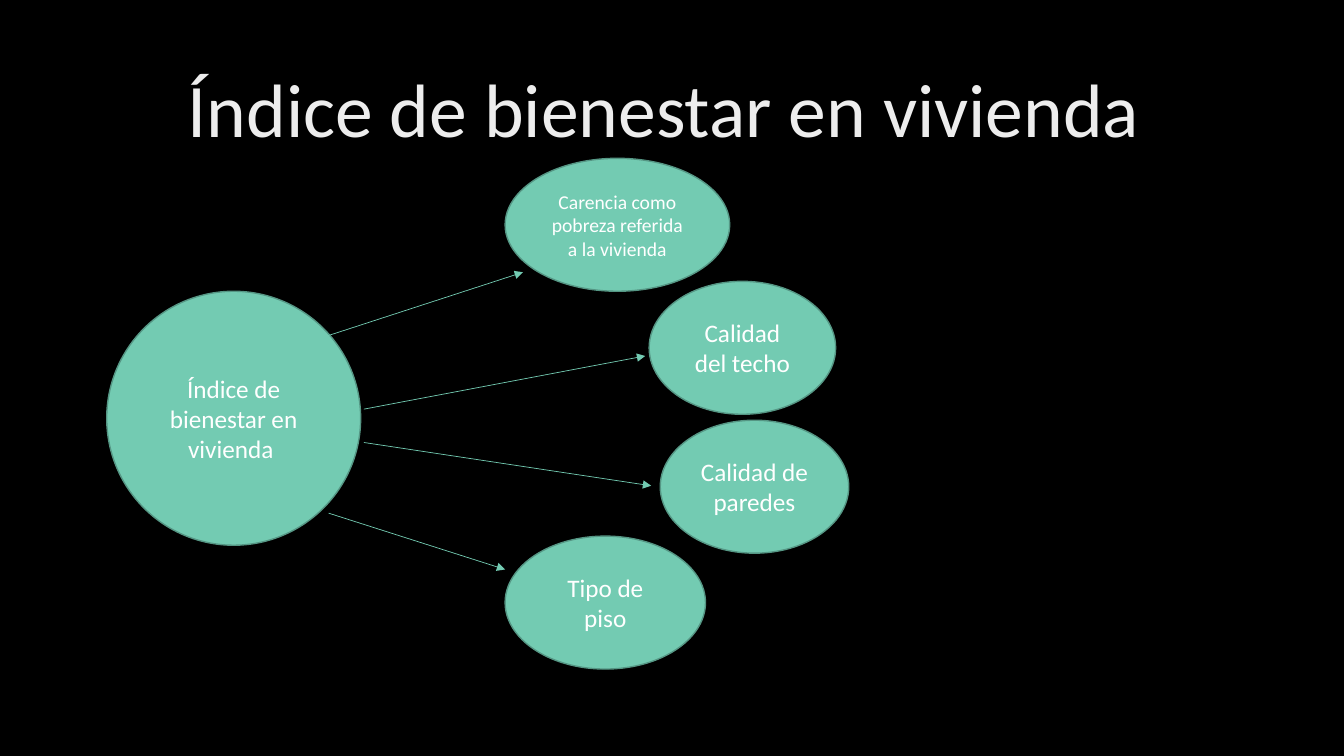
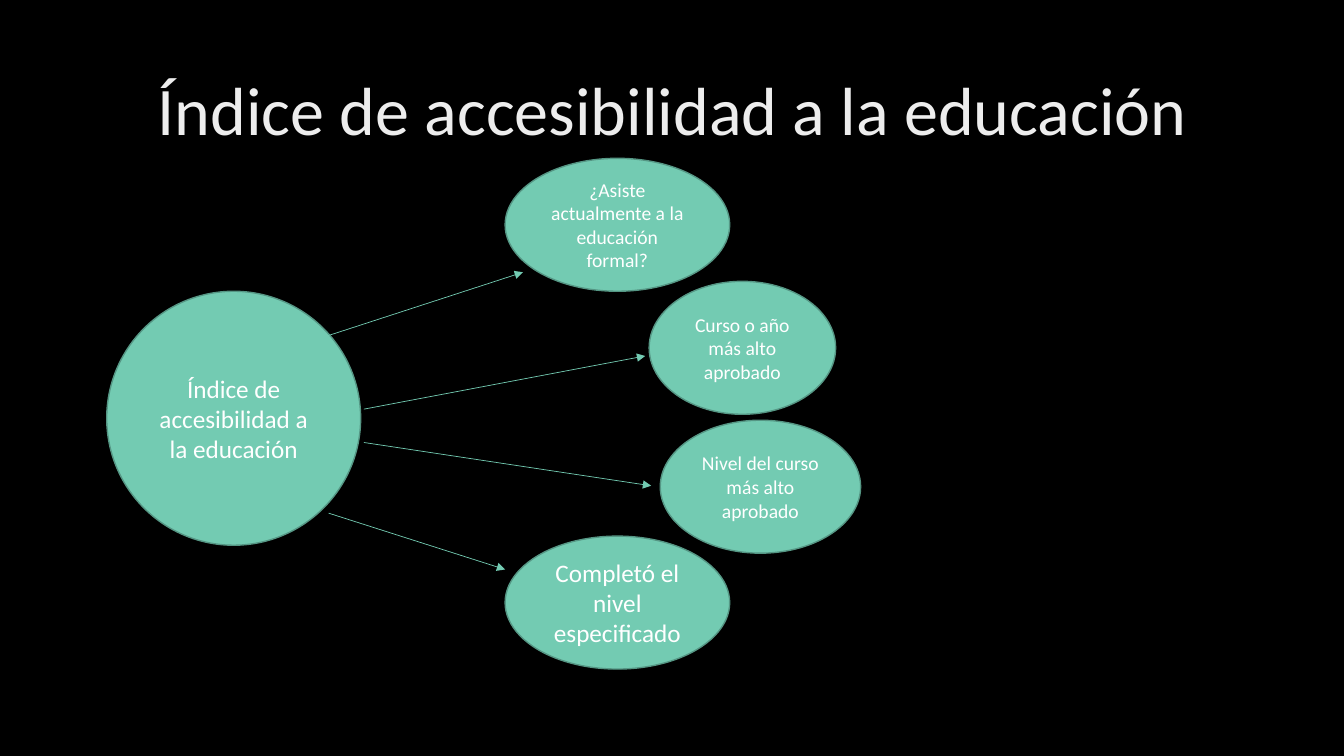
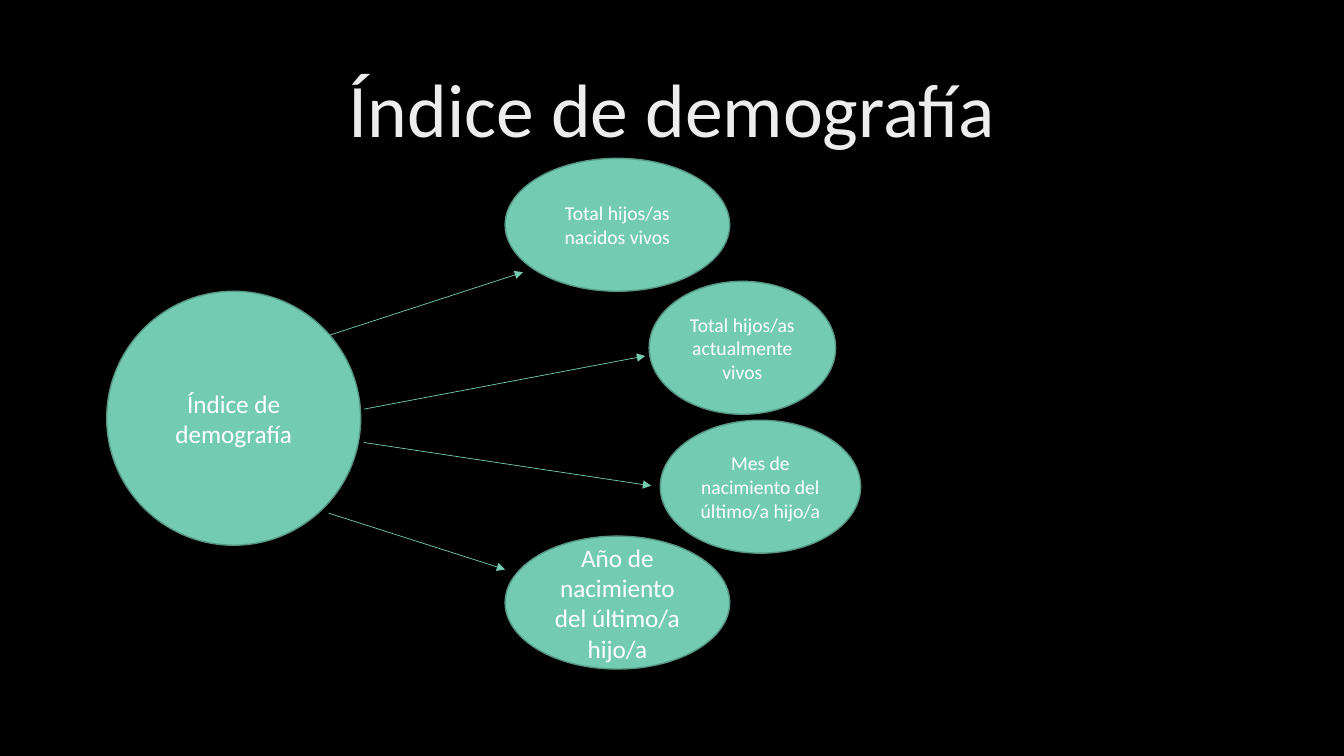
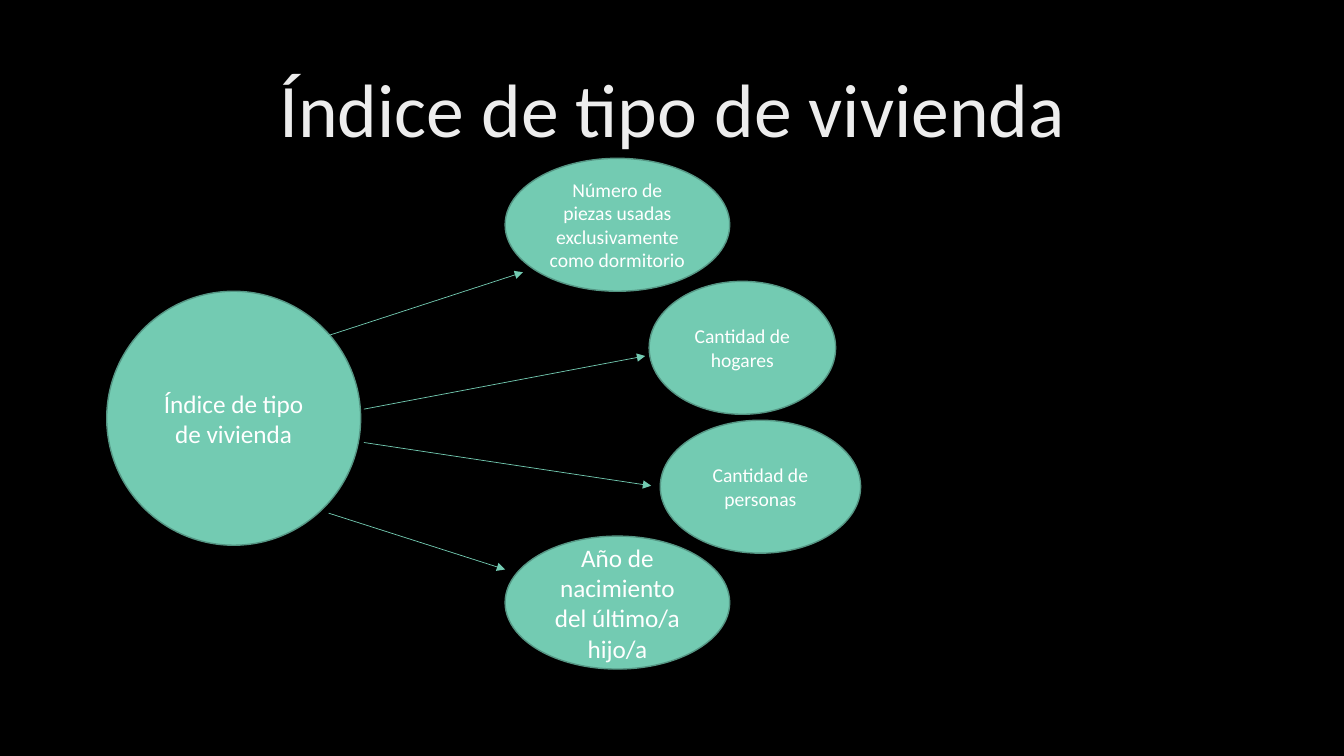
"""Build four index diagrams, each with a hub and four linked components."""
from dataclasses import dataclass

import lxml.etree
import pptx
import pptx.dml.color
import pptx.enum.shapes
import pptx.enum.text
import pptx.oxml.ns
import pptx.presentation
import pptx.shapes.connector
import pptx.slide
import pptx.text.text
import pptx.util

Cm = pptx.util.Cm
FONT = "Calibri"
BLACK = "000000"
WHITE = "FFFFFF"
PALE_GREY = "EDEDED"
MINT = "73CBB2"
DARK_MINT = "559684"
BUBBLE_HEIGHT = 3.35
WIDE = 5.66
MEDIUM = 5.05


@dataclass(frozen=True)
class Bubble:
    text: str
    width: float
    size: int = 14


@dataclass(frozen=True)
class Arrow:
    start: tuple[float, float]
    end: tuple[float, float]


@dataclass(frozen=True)
class Diagram:
    title: str
    components: tuple[Bubble, Bubble, Bubble, Bubble]
    title_size: float = 54


HUB_POSITION = (2.69, 7.34)
HUB_DIAMETER = 6.4
COMPONENT_POSITIONS = ((12.73, 3.99), (16.36, 7.09), (16.64, 10.59), (12.73, 13.51))
ARROWS = (
    Arrow((8.26, 8.46), (13.18, 6.86)),
    Arrow((9.17, 10.31), (16.26, 8.97)),
    Arrow((9.17, 11.15), (16.41, 12.24)),
    Arrow((8.28, 12.93), (12.73, 14.35)),
)
BIRTH_YEAR = Bubble("Año de nacimiento del último/a hijo/a", WIDE, 18)
DIAGRAMS = (
    Diagram(
        "Índice de bienestar en vivienda ",
        (
            Bubble("Carencia como pobreza referida a la vivienda", WIDE),
            Bubble("Calidad del techo", 4.7, 18),
            Bubble("Calidad de paredes", 4.75, 18),
            Bubble("Tipo de piso", MEDIUM, 18),
        ),
    ),
    Diagram(
        "Índice de accesibilidad a la educación",
        (
            Bubble("¿Asiste actualmente a la educación formal?", WIDE),
            Bubble("Curso o año más alto aprobado", 4.7),
            Bubble("Nivel del curso más alto aprobado", MEDIUM),
            Bubble("Completó el nivel especificado", WIDE, 18),
        ),
        48.6,
    ),
    Diagram(
        "Índice de demografía",
        (
            Bubble("Total hijos/as nacidos vivos", WIDE),
            Bubble("Total hijos/as actualmente vivos", 4.7),
            Bubble("Mes de nacimiento del último/a hijo/a", MEDIUM),
            BIRTH_YEAR,
        ),
    ),
    Diagram(
        "Índice de tipo de vivienda",
        (
            Bubble("Número de piezas usadas exclusivamente como dormitorio", WIDE),
            Bubble("Cantidad de hogares", 4.7),
            Bubble("Cantidad de personas", MEDIUM),
            BIRTH_YEAR,
        ),
    ),
)


def color(value: str) -> pptx.dml.color.RGBColor:
    return pptx.dml.color.RGBColor.from_string(value)


def write_text(frame: pptx.text.text.TextFrame, text: str, size: float, ink: str) -> pptx.text.text._Paragraph:
    frame.word_wrap = True
    frame.auto_size = pptx.enum.text.MSO_AUTO_SIZE.NONE
    frame.vertical_anchor = pptx.enum.text.MSO_ANCHOR.MIDDLE
    paragraph = frame.paragraphs[0]
    paragraph.alignment = pptx.enum.text.PP_ALIGN.CENTER
    run = paragraph.add_run()
    run.text = text
    run.font.name = FONT
    run.font.size = pptx.util.Pt(size)
    run.font.color.rgb = color(ink)
    return paragraph


def add_bubble(slide: pptx.slide.Slide, bubble: Bubble, position: tuple[float, float], height: float) -> None:
    left, top = position
    shape = slide.shapes.add_shape(
        pptx.enum.shapes.MSO_SHAPE.OVAL, Cm(left), Cm(top), Cm(bubble.width), Cm(height)
    )
    shape.shadow.inherit = False
    shape.fill.solid()
    shape.fill.fore_color.rgb = color(MINT)
    shape.line.color.rgb = color(DARK_MINT)
    shape.line.width = pptx.util.Pt(1)
    write_text(shape.text_frame, bubble.text, bubble.size, WHITE)


def add_arrow(slide: pptx.slide.Slide, arrow: Arrow) -> None:
    connector = slide.shapes.add_connector(
        pptx.enum.shapes.MSO_CONNECTOR.STRAIGHT, *(Cm(value) for value in arrow.start + arrow.end)
    )
    connector.line.color.rgb = color(MINT)
    connector.line.width = pptx.util.Pt(0.5)
    qualified = pptx.oxml.ns.qn
    properties = connector.element.spPr
    outline = properties.find(qualified("a:ln"))
    lxml.etree.SubElement(outline, qualified("a:tailEnd"), type="triangle")
    lxml.etree.SubElement(properties, qualified("a:effectLst"))


def prepare_layout(presentation: pptx.presentation.Presentation) -> pptx.slide.SlideLayout:
    background = presentation.slide_master.background.fill
    background.solid()
    background.fore_color.rgb = color(BLACK)
    layout = presentation.slide_layouts.get_by_name("Title Only")
    title = layout.placeholders[0]
    title.left, title.top, title.width, title.height = Cm(2.34), Cm(1.02), Cm(29.21), Cm(3.68)
    return layout


def add_diagram(
    presentation: pptx.presentation.Presentation, layout: pptx.slide.SlideLayout, diagram: Diagram
) -> None:
    slide = presentation.slides.add_slide(layout)
    heading = write_text(slide.shapes.title.text_frame, diagram.title, diagram.title_size, PALE_GREY)
    heading.line_spacing = 0.9
    add_bubble(slide, Bubble(diagram.title, HUB_DIAMETER, 18), HUB_POSITION, HUB_DIAMETER)
    for bubble, position in zip(diagram.components, COMPONENT_POSITIONS):
        add_bubble(slide, bubble, position, BUBBLE_HEIGHT)
    for arrow in ARROWS:
        add_arrow(slide, arrow)


def main() -> None:
    presentation = pptx.Presentation()
    presentation.slide_width, presentation.slide_height = Cm(33.87), Cm(19.05)
    layout = prepare_layout(presentation)
    for diagram in DIAGRAMS:
        add_diagram(presentation, layout, diagram)
    presentation.save("out.pptx")


if __name__ == "__main__":
    main()
